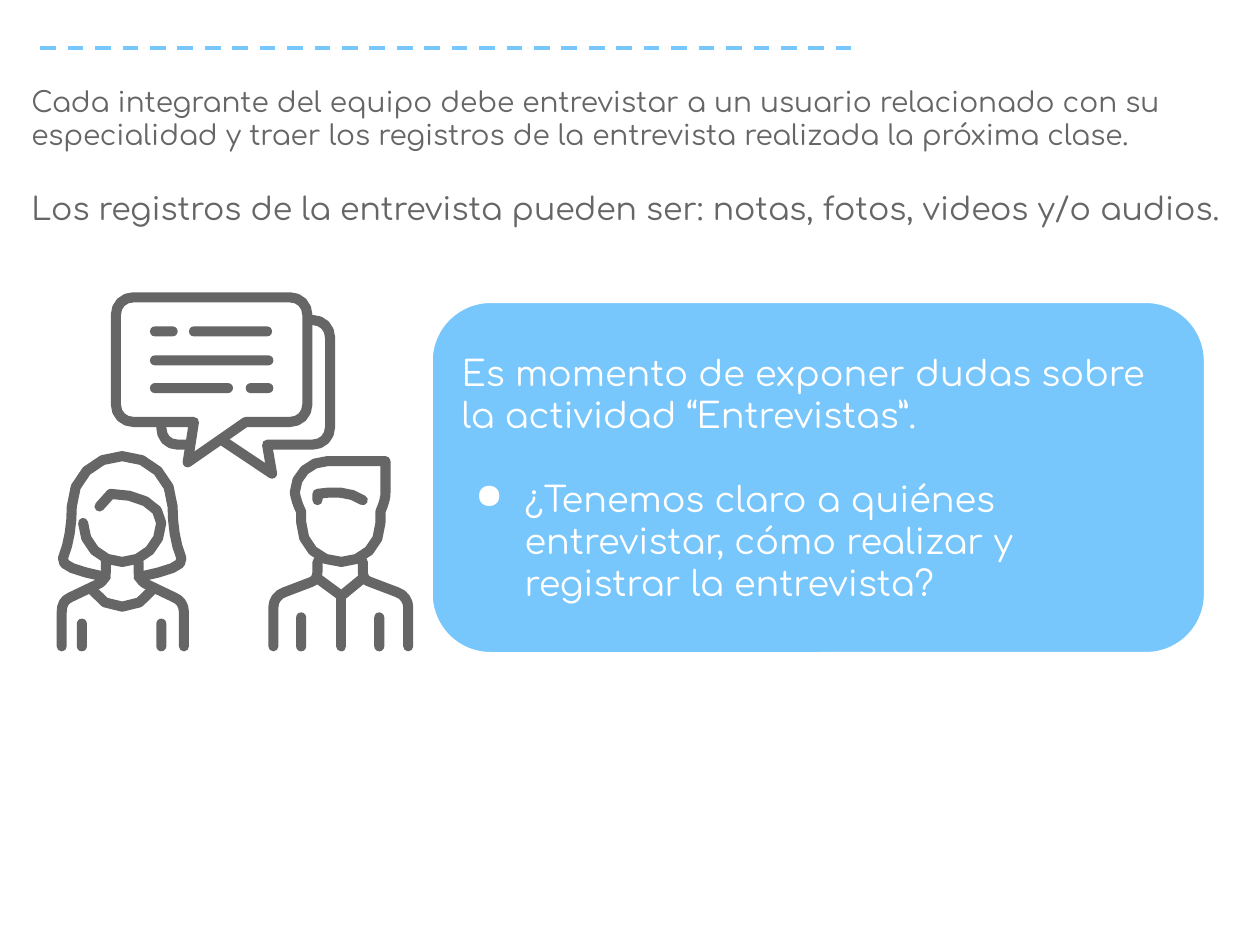
"""Build the interview activity slide with its conversation icon."""
from lxml import etree
from pptx import Presentation
from pptx.dml.color import RGBColor
from pptx.enum import dml, shapes, text
from pptx.oxml.ns import qn
from pptx.util import Inches, Pt

GRAY, BLUE, WHITE = "666666", "77C6FC", "FFFFFF"


def color(hex_value):
    """Turn a hex string into a colour."""
    return RGBColor.from_string(hex_value)


def flatten(stroke, steps=4):
    """Turn lines and cubic curves, given in hundredths of an inch, into points."""
    points = []
    for segment in stroke.split():
        numbers = [int(number) for number in segment.split(",")]
        if len(numbers) == 2:
            points.append(tuple(numbers))
            continue
        (x0, y0), (x1, y1, x2, y2, x3, y3) = points[-1], numbers
        for step in range(1, steps + 1):
            t = step / steps
            s = 1 - t
            a, b, c, d = s**3, 3 * s * s * t, 3 * s * t * t, t**3
            points.append((a * x0 + b * x1 + c * x2 + d * x3, a * y0 + b * y1 + c * y2 + d * y3))
    return [(Inches(x / 100), Inches(y / 100)) for x, y in points]


woman = [
    "84,458 60,453,48,449,50,443 55,431,57,416,57,402 57,380,75,362,97,362 "
    "119,362,137,380,137,402 137,416,139,431,144,443 146,449,134,453,110,458",
    "66,415 66,432,80,446,97,446 114,446,128,432,128,415 128,400,108,392,88,392 79,402",
    "49,513 49,486 49,480,51,476,56,474 79,463 82,461,84,458,84,454 84,446",
    "146,513 146,486 146,480,143,476,138,474 115,463 112,461,110,458,110,454 110,446",
    "73,468 83,486,111,486,121,468",
]
man_fringe = ["252,397 252,392 264,390,278,390,288,397"]
man = [
    "306,366 306,391 306,395,305,399,302,406 302,415 302,433,288,446,271,446 "
    "253,446,239,433,239,414 239,406 236,400,235,396,234,391 234,377,246,366,260,366 306,366",
    "217,513 217,482 217,477,220,472,226,470 247,462 250,461,252,458,252,454 252,446",
    "324,513 324,482 324,477,321,472,315,470 294,462 290,461,288,458,288,454 288,446",
    "252,459 271,473 288,459",
    "271,473 271,513",
]
speech_bubbles = [
    "106,236 230,236 238,236,244,242,244,250 244,321 244,329,238,335,230,335 195,335 "
    "149,367 154,335 106,335 98,335,92,329,92,321 92,250 92,242,98,236,106,236",
    "248,254 256,254,262,260,262,268 262,339 262,347,256,353,248,353 212,353 216,376 177,350",
    "128,339 128,347,133,353,141,353 148,353",
]
arm_lines = [(left, top, 0.08, 5.17 - top)
             for top, lefts in ((4.91, (0.61, 1.24)), (4.86, (2.35, 2.97))) for left in lefts]
speech_lines = [(1.19, 2.59, 0.22, 0.08), (1.5, 2.59, 0.66, 0.08), (1.19, 2.82, 0.98, 0.08),
                (1.19, 3.04, 0.66, 0.08), (1.95, 3.04, 0.22, 0.08)]

presentation = Presentation()
presentation.slide_width, presentation.slide_height = Inches(10), Inches(7.5)
slide = presentation.slides.add_slide(presentation.slide_layouts[6])

instructions = slide.shapes.add_textbox(Inches(0.15), Inches(0.57), Inches(9.71), Inches(1.35))

icon = slide.shapes.add_group_shape()
for drawing in (woman, man_fringe, man, speech_bubbles):
    strokes = [flatten(stroke) for stroke in drawing]
    builder = icon.shapes.build_freeform(*strokes[0][0], scale=1.0)
    for number, points in enumerate(strokes):
        if number:
            builder.move_to(*points[0])
        builder.add_line_segments(points[1:], close=False)
    figure = builder.convert_to_shape()
    figure.shadow.inherit = False
    figure.fill.background()
    figure.line.color.rgb = color(GRAY)
    figure.line.width = Inches(0.08)
    outline = figure._element.spPr.find(qn("a:ln"))
    outline.set("cap", "rnd")
    etree.SubElement(outline, qn("a:round"))
for box in arm_lines + speech_lines:
    bar = icon.shapes.add_shape(shapes.MSO_SHAPE.ROUNDED_RECTANGLE, *map(Inches, box))
    bar.adjustments[0] = 0.5
    bar.shadow.inherit = False
    bar.fill.solid()
    bar.fill.fore_color.rgb = color(GRAY)
    bar.line.fill.background()

card = slide.shapes.add_shape(shapes.MSO_SHAPE.ROUNDED_RECTANGLE,
                              Inches(3.43), Inches(2.4), Inches(6.13), Inches(2.78))
card.adjustments[0] = 0.167
card.shadow.inherit = False
card.fill.solid()
card.fill.fore_color.rgb = color(BLUE)
card.line.color.rgb = color(WHITE)
card.line.width = Pt(0.75)

text_blocks = [
    (instructions, text.MSO_ANCHOR.TOP, GRAY, [
        ("Cada integrante del equipo debe entrevistar a un usuario relacionado con su "
         "especialidad y traer los registros de la entrevista realizada la próxima clase.", 16, 0),
        ("Los registros de la entrevista pueden ser: notas, fotos, videos y/o audios.", 18, 21.5)]),
    (card, text.MSO_ANCHOR.MIDDLE, WHITE, [
        ("Es momento de exponer dudas sobre la actividad “Entrevistas”.", 20, 0),
        ("¿Tenemos claro a quiénes entrevistar, cómo realizar y registrar la entrevista?", 20, 24)]),
]
for shape, anchor, text_color, paragraphs in text_blocks:
    frame = shape.text_frame
    frame.word_wrap = True
    frame.vertical_anchor = anchor
    frame.margin_left = frame.margin_right = frame.margin_top = frame.margin_bottom = Inches(0.1)
    for number, (wording, size, gap) in enumerate(paragraphs):
        paragraph = frame.add_paragraph() if number else frame.paragraphs[0]
        paragraph.text = wording
        paragraph.alignment = text.PP_ALIGN.LEFT
        if gap:
            paragraph.space_before = Pt(gap)
        if shape is card and number:
            properties = paragraph._p.get_or_add_pPr()
            properties.set("marL", str(Inches(0.5)))
            properties.set("indent", str(Inches(-0.39)))
            bullet_color = etree.SubElement(properties, qn("a:buClr"))
            etree.SubElement(bullet_color, qn("a:srgbClr"), val=WHITE)
            etree.SubElement(properties, qn("a:buChar"), char="●")
        paragraph.font.name = "Comfortaa"
        paragraph.font.size = Pt(size)
        paragraph.font.color.rgb = color(text_color)
instructions.text_frame.auto_size = text.MSO_AUTO_SIZE.SHAPE_TO_FIT_TEXT

rule = slide.shapes.add_connector(shapes.MSO_CONNECTOR.STRAIGHT,
                                  Inches(0.32), Inches(0.38), Inches(6.76), Inches(0.38))
rule.line.color.rgb = color(BLUE)
rule.line.width = Pt(2.25)
rule.line.dash_style = dml.MSO_LINE.DASH
etree.SubElement(rule._element.spPr, qn("a:effectLst"))

presentation.save("out.pptx")
